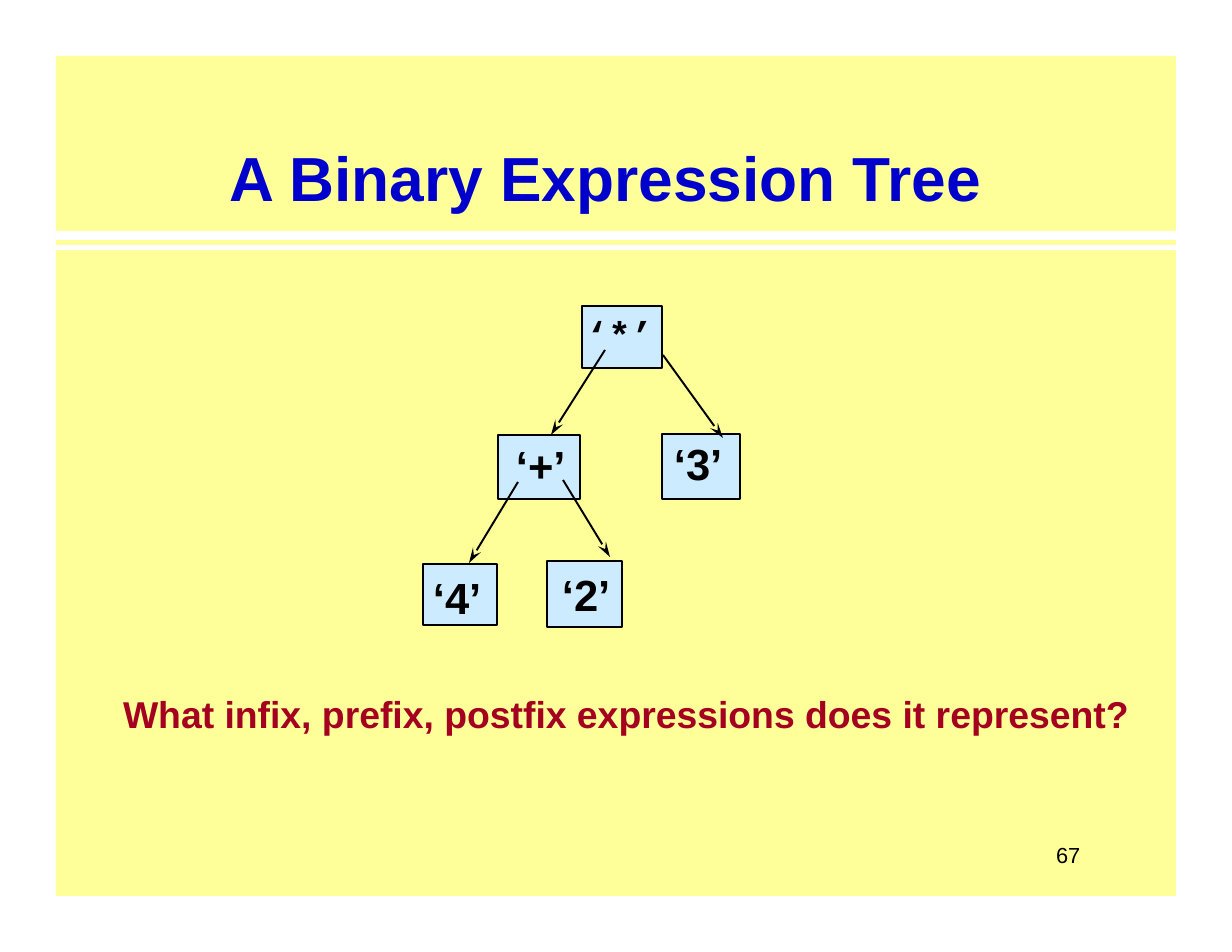
import pptx
import pptx.dml.color
import pptx.enum.shapes
import pptx.enum.text
import pptx.oxml
import pptx.oxml.ns
import pptx.util

EMU_PER_PX = 914400 / 112
COLOURS = {
    "panel": "FFFF99",
    "rule": "FFFFFF",
    "title": "0000CC",
    "node": "CCEBFF",
    "ink": "000000",
    "question": "A40020",
}
RULES = [(231, 9), (245, 5)]
NODES = [
    ("‘*’", (582, 306, 80, 62), (4, 5), {"font": "Courier New", "size": 24}),
    ("‘+’", (498, 435, 82, 64), (18, 4), {}),
    ("‘3’", (662, 434, 78, 65), (12, 3), {}),
    ("‘4’", (423, 564, 74, 61), (10, 7), {}),
    ("‘2’", (547, 561, 75, 66), (15, 7), {}),
]
BRANCHES = [
    ((605, 350), (551, 435)),
    ((663, 355), (723, 438)),
    ((518, 482), (469, 563)),
    ((563, 480), (610, 557)),
]


def px(*lengths):
    """Turn pixel lengths into a list of EMU lengths."""
    return [pptx.util.Emu(round(length * EMU_PER_PX)) for length in lengths]


def colour(name):
    """Look up a named colour."""
    return pptx.dml.color.RGBColor.from_string(COLOURS[name])


def write(frame, text, font="Arial", size=28, bold=True, ink="ink", inset=(1, 1), spacing=1):
    """Fill a text frame with one formatted paragraph."""
    frame.word_wrap = False
    frame.auto_size = pptx.enum.text.MSO_AUTO_SIZE.NONE
    frame.vertical_anchor = pptx.enum.text.MSO_ANCHOR.TOP
    frame.margin_left, frame.margin_top = px(*inset)
    frame.margin_right = frame.margin_bottom = 0
    para = frame.paragraphs[0]
    para.alignment = pptx.enum.text.PP_ALIGN.LEFT
    para.line_spacing = spacing
    span = para.add_run()
    span.text = text
    span.font.name = font
    span.font.size = pptx.util.Pt(size)
    span.font.bold = bold
    span.font.color.rgb = colour(ink)


def add_box(page, place, fill, line=None):
    """Add a flat rectangle, outlined if a line colour is given."""
    box = page.shapes.add_shape(pptx.enum.shapes.MSO_SHAPE.RECTANGLE, *px(*place))
    box.shadow.inherit = False
    box.fill.solid()
    box.fill.fore_color.rgb = colour(fill)
    if line:
        box.line.color.rgb = colour(line)
        box.line.width = pptx.util.Pt(1.25)
    else:
        box.line.fill.background()
    return box


def add_label(page, place, text, **style):
    """Add a text box with one formatted line."""
    write(page.shapes.add_textbox(*px(*place)).text_frame, text, **style)


def add_title(page, place, text, **style):
    """Move the title placeholder to the front and fill it."""
    title = page.shapes.title
    title.left, title.top, title.width, title.height = px(*place)
    title.element.getparent().append(title.element)
    write(title.text_frame, text, **style)


def add_arrow(page, start, end):
    """Add a straight branch with a stealth arrowhead at its end."""
    arrow = page.shapes.add_connector(
        pptx.enum.shapes.MSO_CONNECTOR.STRAIGHT, *px(*start, *end)
    )
    arrow.line.color.rgb = colour("ink")
    arrow.line.width = pptx.util.Pt(1.25)
    head = pptx.oxml.parse_xml(
        f'<a:tailEnd {pptx.oxml.ns.nsdecls("a")} type="stealth" w="med" len="lg"/>'
    )
    arrow.line.fill
    properties = arrow.element.spPr
    properties.find(pptx.oxml.ns.qn("a:ln")).append(head)
    properties.append(pptx.oxml.parse_xml(f'<a:effectLst {pptx.oxml.ns.nsdecls("a")}/>'))


def main():
    """Build the expression tree slide."""
    deck = pptx.Presentation()
    deck.slide_width, deck.slide_height = px(1232, 952)
    page = deck.slides.add_slide(deck.slide_layouts[5])
    add_box(page, (56, 56, 1120, 840), "panel")
    for top, height in RULES:
        add_box(page, (56, top, 1120, height), "rule")
    add_title(page, (229, 138, 762, 78), "A Binary Expression Tree", size=40, ink="title")
    for text, place, inset, style in NODES:
        node = add_box(page, place, "node", line="ink")
        write(node.text_frame, text, inset=inset, **style)
    for start, end in BRANCHES:
        add_arrow(page, start, end)
    add_label(
        page, (122, 690, 1009, 48),
        "What infix, prefix, postfix expressions does it represent?",
        size=24, ink="question",
    )
    add_label(page, (1052, 837, 34, 27), "67", size=14, bold=False, inset=(4, 0), spacing=1.17)
    deck.save("out.pptx")


if __name__ == "__main__":
    main()
